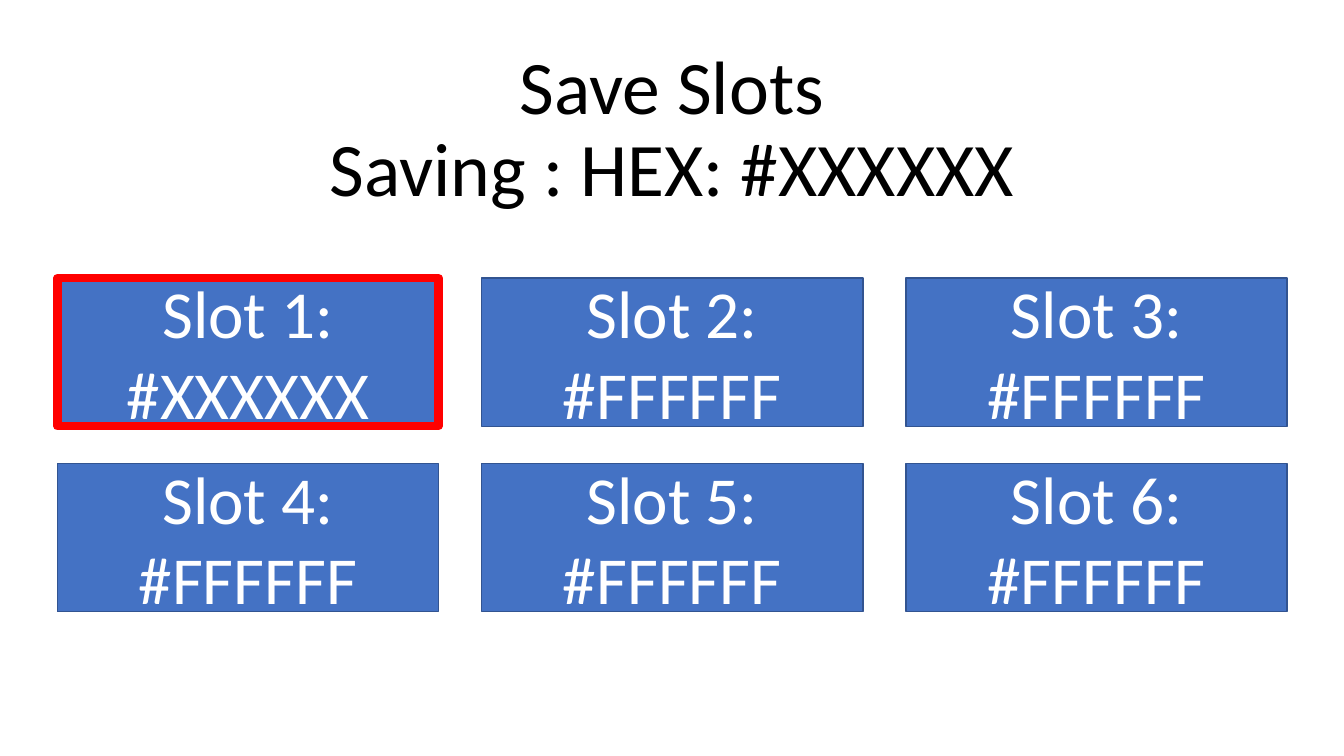
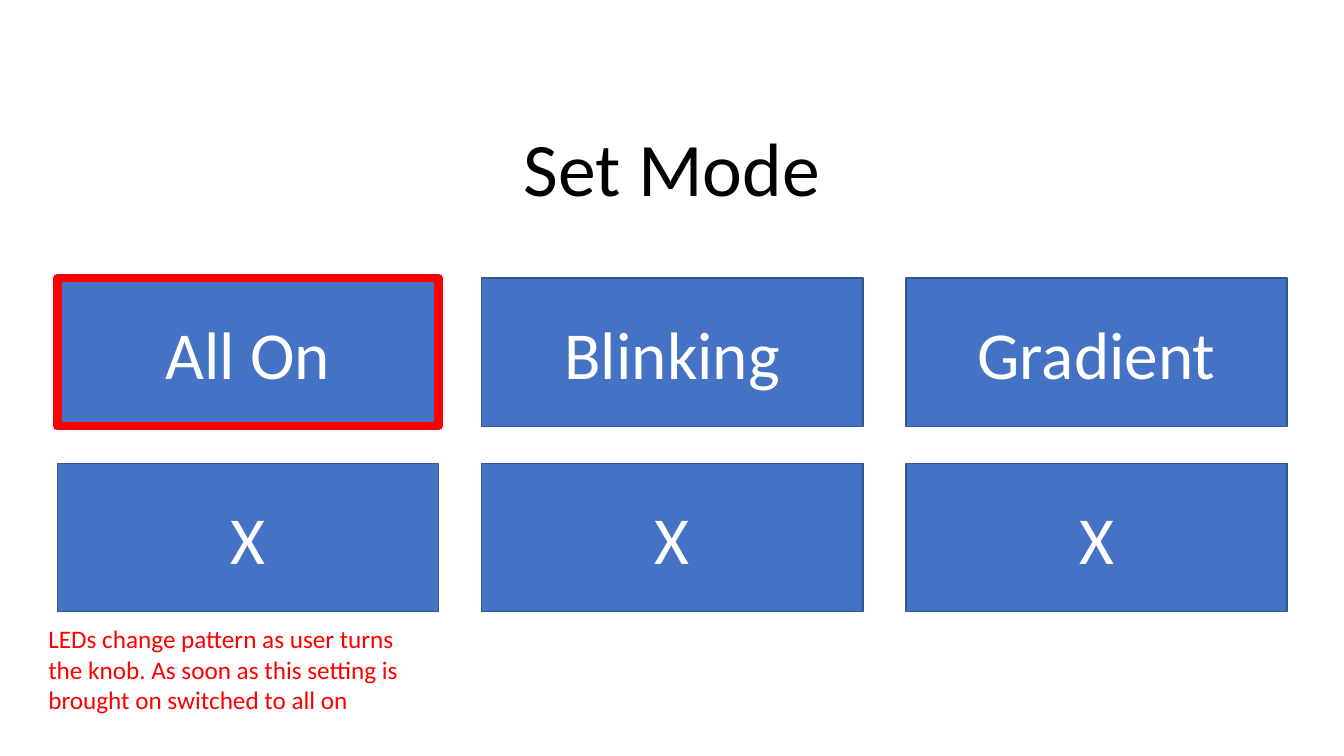
"""Build two menu screens: save slots and mode selection."""
from pptx import Presentation
from pptx import util as u
from pptx.dml import color
from pptx.enum import shapes, text

SCREENS = [
    {
        "title": "Save Slots\vSaving : HEX: #XXXXXX",
        "buttons": ["Slot 1: #XXXXXX"] + [f"Slot {n}: #FFFFFF" for n in range(2, 7)],
        "note": None,
    },
    {
        "title": "Set Mode",
        "buttons": ["All On", "Blinking", "Gradient", "X", "X", "X"],
        "note": "LEDs change pattern as user turns the knob. "
                "As soon as this setting is brought on switched to all on",
    },
]

FONT = "Calibri"
BLACK, WHITE, RED, BLUE, NAVY = "000000", "FFFFFF", "FF0000", "4472C4", "325491"
TITLE_AREA = (120, 88.5, 720, 67)
NOTE_AREA = (27.4, 442, 267, 72.7)
COLUMNS = 3
GRID_LEFT, GRID_TOP = 41, 198.7
BUTTON_WIDTH, BUTTON_HEIGHT = 272.2, 105.8
COLUMN_STEP, ROW_STEP = 303.1, 132.5
SELECTED = 0


def rgb(value):
    return color.RGBColor.from_string(value)


def points(area):
    return [u.Pt(value) for value in area]


def write(shape, words, size, ink, align, anchor):
    frame = shape.text_frame
    frame.text = words
    frame.word_wrap = True
    frame.vertical_anchor = anchor
    para = frame.paragraphs[0]
    para.alignment = align
    for span in para.runs:
        span.font.name = FONT
        span.font.size = u.Pt(size)
        span.font.color.rgb = rgb(ink)
    return para


def add_title(page, words):
    box = page.shapes.add_textbox(*points(TITLE_AREA))
    para = write(box, words, 54, BLACK, text.PP_ALIGN.CENTER, text.MSO_ANCHOR.BOTTOM)
    para.line_spacing = 0.9


def add_button(page, index, label):
    row, column = divmod(index, COLUMNS)
    area = (GRID_LEFT + column * COLUMN_STEP, GRID_TOP + row * ROW_STEP,
            BUTTON_WIDTH, BUTTON_HEIGHT)
    button = page.shapes.add_shape(shapes.MSO_SHAPE.ACTION_BUTTON_CUSTOM, *points(area))
    button.shadow.inherit = False
    button.fill.solid()
    button.fill.fore_color.rgb = rgb(BLUE)
    edge, width = (RED, 6) if index == SELECTED else (NAVY, 1)
    button.line.color.rgb = rgb(edge)
    button.line.width = u.Pt(width)
    write(button, label, 48, WHITE, text.PP_ALIGN.CENTER, text.MSO_ANCHOR.MIDDLE)


def add_note(page, words):
    box = page.shapes.add_textbox(*points(NOTE_AREA))
    write(box, words, 18, RED, text.PP_ALIGN.LEFT, text.MSO_ANCHOR.TOP)
    box.text_frame.auto_size = text.MSO_AUTO_SIZE.SHAPE_TO_FIT_TEXT


deck = Presentation()
deck.slide_width, deck.slide_height = u.Pt(960), u.Pt(540)
for screen in SCREENS:
    page = deck.slides.add_slide(deck.slide_layouts[6])
    add_title(page, screen["title"])
    for index, label in enumerate(screen["buttons"]):
        add_button(page, index, label)
    if screen["note"]:
        add_note(page, screen["note"])
deck.save("out.pptx")
